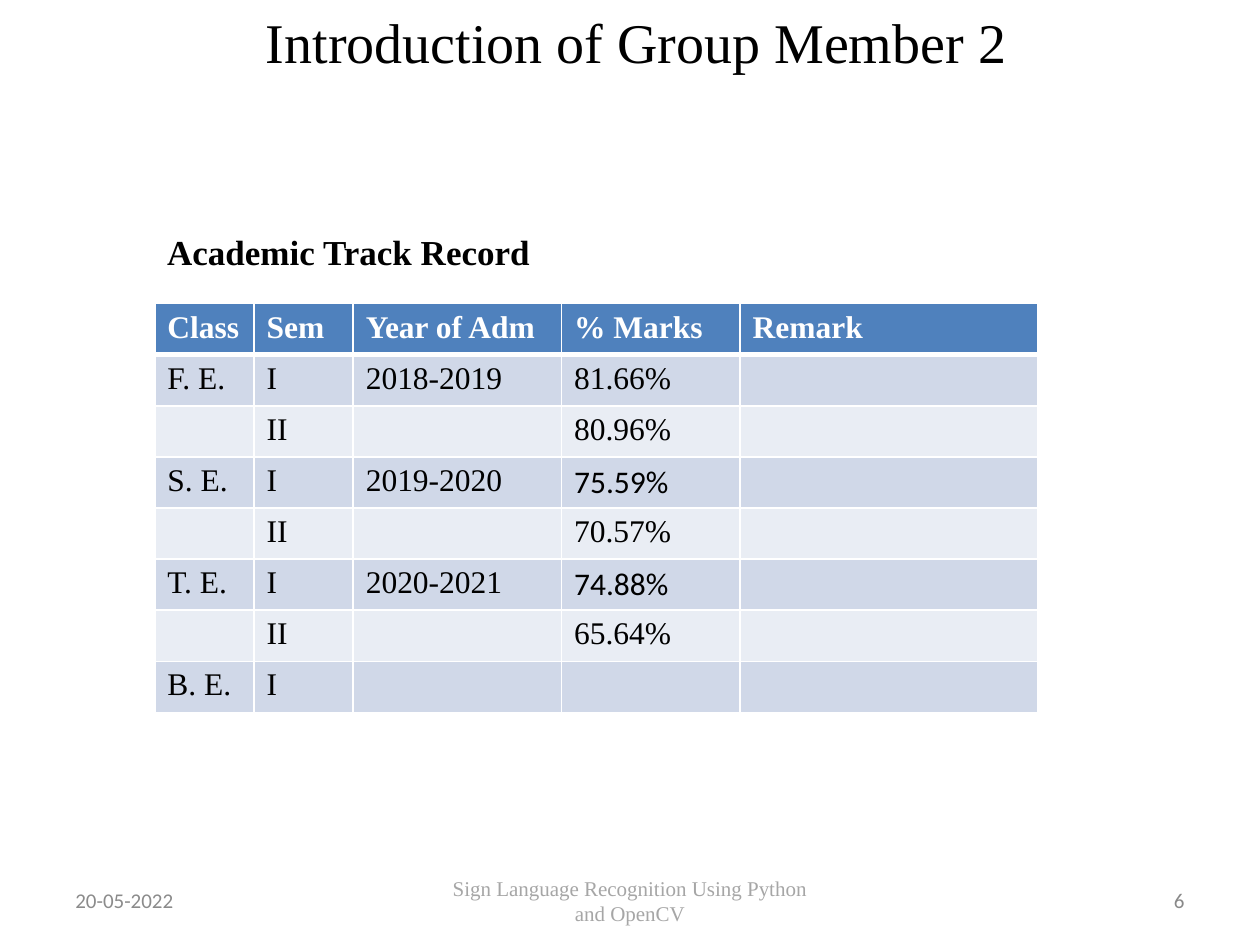
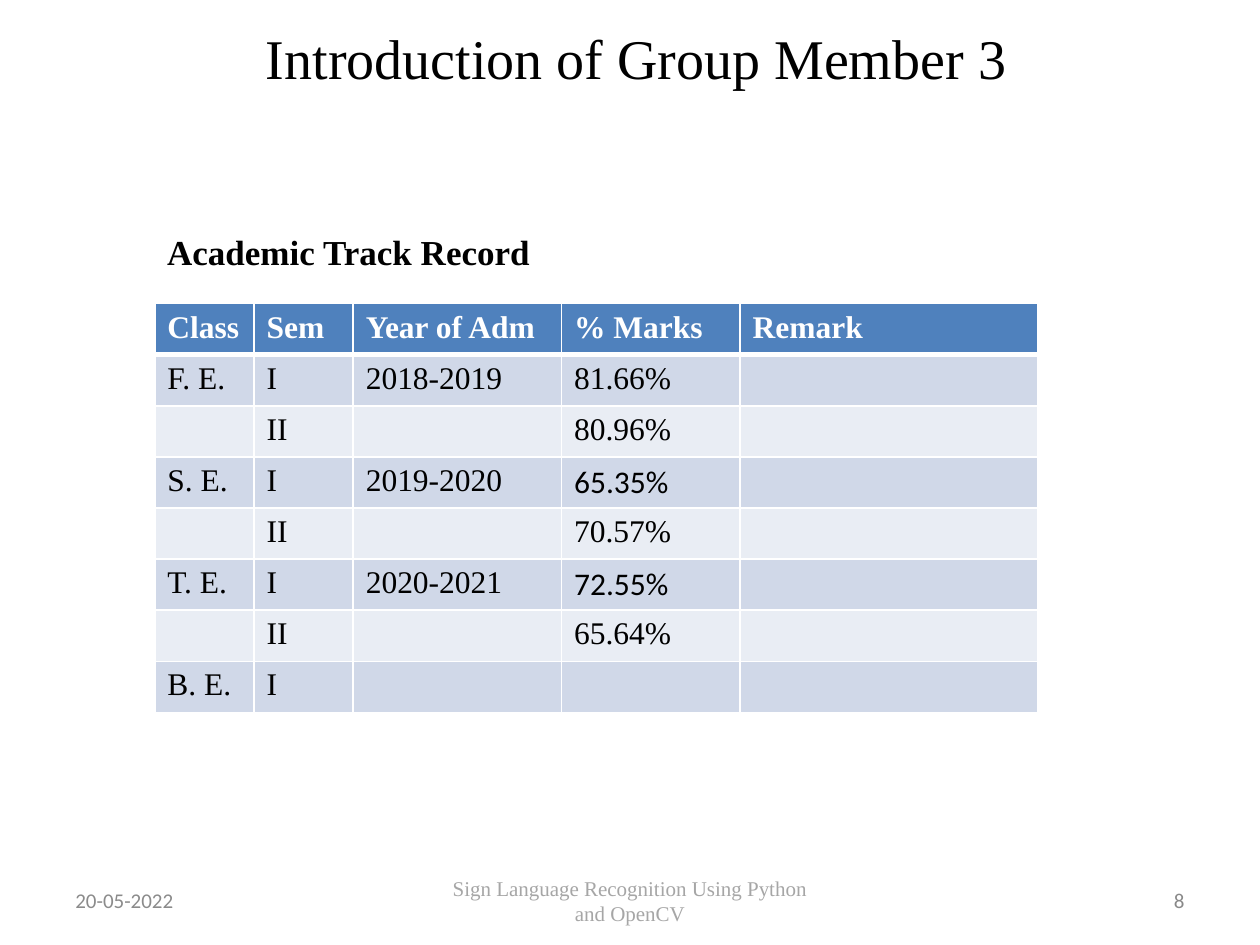
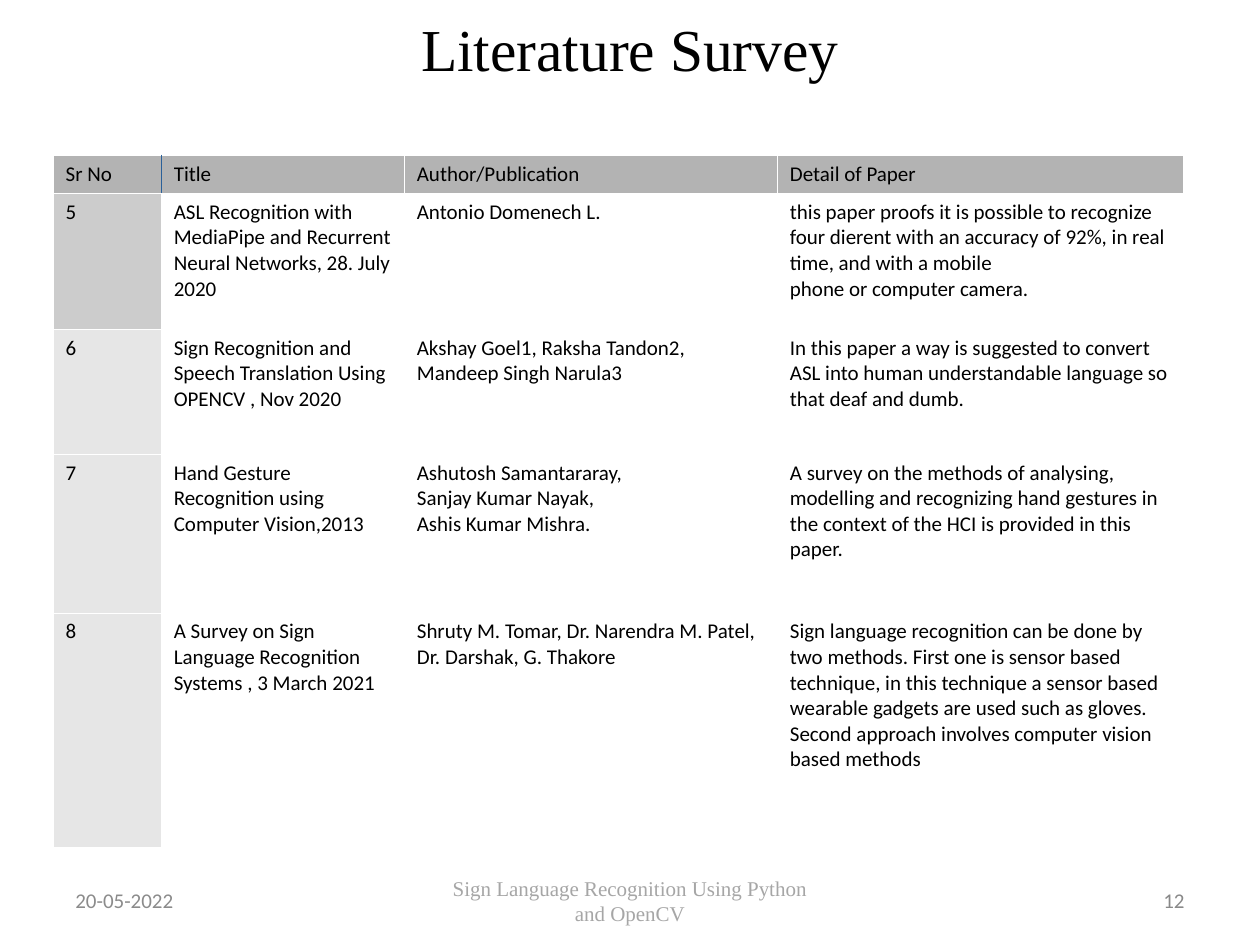
from lxml import etree
from pptx import Presentation
from pptx.dml.color import RGBColor
from pptx.enum import text as t
from pptx.oxml import ns
from pptx.util import Cm, Pt

# Shared colours and fonts
BLACK = RGBColor(0x00, 0x00, 0x00)
WHITE = RGBColor(0xFF, 0xFF, 0xFF)
DATE_GREY = RGBColor(0x8B, 0x8B, 0x8B)
FOOTER_GREY = RGBColor(0xA6, 0xA6, 0xA6)
NUMBER_GREY = RGBColor(0x89, 0x89, 0x89)
HEADER_BLUE = RGBColor(0x4F, 0x81, 0xBD)
BAND_DARK = RGBColor(0xD0, 0xD8, 0xE8)
BAND_LIGHT = RGBColor(0xE9, 0xED, 0xF4)
HEADER_GREY = RGBColor(0xB3, 0xB3, 0xB3)
FIRST_GREY = RGBColor(0xCC, 0xCC, 0xCC)
NUMBER_FILL = RGBColor(0xE6, 0xE6, 0xE6)
DIVIDER_BLUE = RGBColor(0x2A, 0x60, 0x99)
SERIF = "Times New Roman"
SANS = "Calibri"

LEFT, CENTER, RIGHT = t.PP_ALIGN.LEFT, t.PP_ALIGN.CENTER, t.PP_ALIGN.RIGHT
MIDDLE, TOP = t.MSO_ANCHOR.MIDDLE, t.MSO_ANCHOR.TOP

DATE = "20-05-2022"
PROJECT = "Sign Language Recognition Using Python and OpenCV"

RECORD_HEADER = ["Class", "Sem", "Year of Adm", "% Marks", "Remark"]
TERMS = [
    ("F. E.", "I", "2018-2019"),
    ("", "II", ""),
    ("S. E.", "I", "2019-2020"),
    ("", "II", ""),
    ("T. E.", "I", "2020-2021"),
    ("", "II", ""),
    ("B. E.", "I", ""),
]
MEMBER_2_MARKS = ["81.66%", "80.96%", "75.59%", "70.57%", "74.88%", "65.64%", ""]
MEMBER_3_MARKS = ["81.66%", "80.96%", "65.35%", "70.57%", "72.55%", "65.64%", ""]

PAPERS = [
    ("Sr No", "Title", "Author/Publication", "Detail of Paper"),
    ("5",
     "ASL Recognition with MediaPipe and Recurrent\nNeural Networks, 28. July 2020",
     "Antonio Domenech L.",
     "this paper proofs it is possible to recognize four dierent with an accuracy "
     "of 92%, in real time, and with a mobile\nphone or computer camera."),
    ("6",
     "Sign Recognition and Speech Translation Using OPENCV , Nov 2020",
     "Akshay Goel1, Raksha Tandon2, Mandeep Singh Narula3",
     "In this paper a way is suggested to convert ASL into human understandable "
     "language so that deaf and dumb."),
    ("7",
     "Hand Gesture Recognition using Computer Vision,2013",
     "Ashutosh Samantararay,\nSanjay Kumar Nayak,\nAshis Kumar Mishra.",
     "A survey on the methods of analysing, modelling and recognizing hand "
     "gestures in the context of the HCI is provided in this paper."),
    ("8",
     "A Survey on Sign Language Recognition Systems , 3 March 2021",
     "Shruty M. Tomar, Dr. Narendra M. Patel, Dr. Darshak, G. Thakore",
     "Sign language recognition can be done by two methods. First one is sensor "
     "based technique, in this technique a sensor based wearable gadgets are used "
     "such as gloves.\nSecond approach involves computer vision based methods"),
]


def write(frame, wording, size, font, color, align=LEFT, bold=False):
    frame.text = wording
    for paragraph in frame.paragraphs:
        paragraph.alignment = align
        paragraph.font.size = Pt(size)
        paragraph.font.name = font
        paragraph.font.bold = bold
        paragraph.font.color.rgb = color


def add_label(slide, box, wording, size, font, color, align=LEFT, bold=False,
              anchor=MIDDLE, wrap=True):
    frame = slide.shapes.add_textbox(*map(Cm, box)).text_frame
    frame.word_wrap = wrap
    frame.vertical_anchor = anchor
    write(frame, wording, size, font, color, align, bold)


def add_titled_slide(prs, title, box, size, number, anchor=MIDDLE):
    """Title-only slide with the shared date, project name and number."""
    slide = prs.slides.add_slide(prs.slide_layouts[5])
    heading = slide.shapes.title
    heading.left, heading.top, heading.width, heading.height = map(Cm, box)
    frame = heading.text_frame
    frame.auto_size = t.MSO_AUTO_SIZE.NONE
    frame.vertical_anchor = anchor
    if anchor == TOP:
        frame.margin_top = 0
    write(frame, title, size, SERIF, BLACK, CENTER)

    # Footer
    add_label(slide, (1.27, 17.65, 5.93, 1.01), DATE, 12, SANS, DATE_GREY)
    add_label(slide, (8.68, 17.65, 8.04, 1.01), PROJECT, 12, SERIF, FOOTER_GREY, CENTER)
    add_label(slide, (18.2, 17.65, 5.93, 1.01), number, 12, SANS, NUMBER_GREY, RIGHT)
    return slide


def set_border(cell, side, color, width):
    line = etree.SubElement(cell._tc.get_or_add_tcPr(), ns.qn(f"a:ln{side}"),
                            w=str(int(Pt(width))))
    fill = etree.SubElement(line, ns.qn("a:solidFill"))
    etree.SubElement(fill, ns.qn("a:srgbClr"), val=str(color))


def style_cell(cell, fill, borders):
    """Borders are (colour, width) pairs for left, right, top and bottom."""
    for side, (color, width) in zip("LRTB", borders):
        set_border(cell, side, color, width)
    cell.fill.solid()
    cell.fill.fore_color.rgb = fill


def add_grid(slide, left, top, widths, heights):
    table = slide.shapes.add_table(
        len(heights), len(widths), Cm(left), Cm(top),
        Cm(sum(widths)), Cm(sum(heights))).table
    table.first_row = table.horz_banding = False
    for column, width in zip(table.columns, widths):
        column.width = Cm(width)
    for row, height in zip(table.rows, heights):
        row.height = Cm(height)
    return table


def add_track_record(slide, marks):
    add_label(slide, (3.12, 4.52, 8, 1.09), "Academic Track Record", 20, SERIF,
              BLACK, bold=True, anchor=TOP, wrap=False)
    rows = [RECORD_HEADER] + [[*term, mark, ""] for term, mark in zip(TERMS, marks)]
    table = add_grid(slide, 3.12, 6.12, [2, 2, 4.2, 3.6, 6], [1.03] * len(rows))
    thin, thick = (WHITE, 0.96), (WHITE, 3)
    for r, row in enumerate(rows):
        header = r == 0
        fill = HEADER_BLUE if header else BAND_DARK if r % 2 else BAND_LIGHT
        borders = [thin, thin, thick if r == 1 else thin, thick if header else thin]
        for c, wording in enumerate(row):
            cell = table.cell(r, c)
            # Marks of the first semester are sans serif from the second year on
            font = SANS if c == 3 and r in (3, 5) else SERIF
            write(cell.text_frame, wording, 18, font,
                  WHITE if header else BLACK, bold=header)
            style_cell(cell, fill, borders)


def add_paper_table(slide):
    table = add_grid(slide, 1.07, 3.12, [2.18, 4.9, 7.52, 8.18],
                     [0.77, 2.74, 2.52, 3.2, 4.72])
    plain, divider = (WHITE, 0.06), (DIVIDER_BLUE, 0.06)
    for r, row in enumerate(PAPERS):
        number_fill = FIRST_GREY if r == 1 else NUMBER_FILL
        for c, wording in enumerate(row):
            cell = table.cell(r, c)
            write(cell.text_frame, wording, 12, SANS, BLACK)
            fill = HEADER_GREY if r == 0 else number_fill if c == 0 else WHITE
            style_cell(cell, fill, [divider if (r, c) == (0, 1) else plain,
                                    divider if (r, c) == (0, 0) else plain,
                                    plain, plain])


def main():
    prs = Presentation()
    prs.slide_width, prs.slide_height = Cm(25.4), Cm(19.05)

    # Group members
    member_2 = add_titled_slide(prs, "Introduction of Group Member 2",
                                (1.4, -0.38, 22.86, 2.41), 32, "6")
    add_track_record(member_2, MEMBER_2_MARKS)
    member_3 = add_titled_slide(prs, "Introduction of Group Member 3",
                                (1.4, -0.58, 22.86, 3.48), 32, "8")
    add_track_record(member_3, MEMBER_3_MARKS)

    # Literature
    survey = add_titled_slide(prs, "Literature Survey",
                              (1.27, 0.25, 22.86, 2.08), 34, "12", TOP)
    add_paper_table(survey)

    prs.save("out.pptx")


if __name__ == "__main__":
    main()
